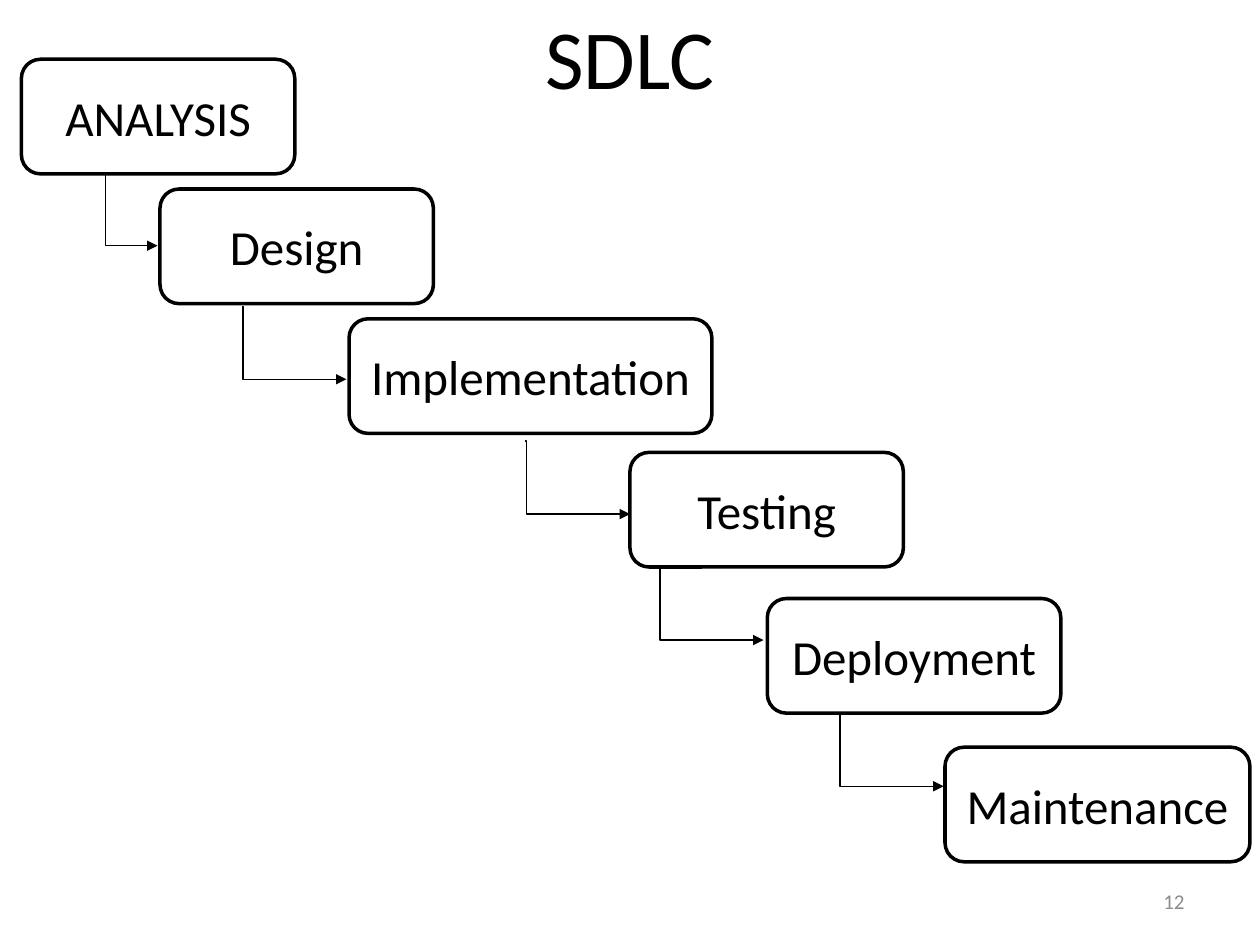
from dataclasses import dataclass

import pptx
import pptx.dml.color
import pptx.enum.shapes
import pptx.enum.text
import pptx.oxml
import pptx.oxml.ns
import pptx.util
from pptx.util import Inches

COLORS = {"ink": "000000", "paper": "FFFFFF", "muted": "8C8C8C"}
FONT = "Calibri"
BOX_H = 0.91
STEP_W, STEP_H = 0.83, 0.58
ALIGN = pptx.enum.text.PP_ALIGN
ANCHOR = pptx.enum.text.MSO_ANCHOR


@dataclass
class Phase:
    name: str
    left: float
    top: float
    width: float = 2.17


@dataclass
class Arrow:
    left: float
    top: float
    bend: float = 0.01  # share of the width at which the line turns down


PHASES = [
    Phase("ANALYSIS", 0.17, 0.47),
    Phase("Design", 1.27, 1.5),
    Phase("Implementation", 2.77, 2.53, 2.88),
    Phase("Testing", 5, 3.59),
    Phase("Deployment", 6.09, 4.75, 2.33),
    Phase("Maintenance", 7.5, 5.93, 2.42),
]
ARROWS = [
    Arrow(0.42, 1.37, 0.5),
    Arrow(1.92, 2.43),
    Arrow(4.17, 3.5),
    Arrow(5.23, 4.5),
    Arrow(6.66, 5.66),
]


def rgb(key: str) -> pptx.dml.color.RGBColor:
    return pptx.dml.color.RGBColor.from_string(COLORS[key])


def write(shape, text: str, size: int, color: str = "ink",
          align=ALIGN.CENTER, anchor=ANCHOR.MIDDLE) -> None:
    frame = shape.text_frame
    frame.text = text
    frame.word_wrap = True
    frame.auto_size = pptx.enum.text.MSO_AUTO_SIZE.NONE
    frame.vertical_anchor = anchor
    para = frame.paragraphs[0]
    para.alignment = align
    para.font.name = FONT
    para.font.size = pptx.util.Pt(size)
    para.font.color.rgb = rgb(color)


def add_phase(slide, phase: Phase) -> None:
    box = slide.shapes.add_shape(
        pptx.enum.shapes.MSO_SHAPE.ROUNDED_RECTANGLE,
        Inches(phase.left), Inches(phase.top),
        Inches(phase.width), Inches(BOX_H))
    box.shadow.inherit = False
    box.fill.solid()
    box.fill.fore_color.rgb = rgb("paper")
    box.line.color.rgb = rgb("ink")
    box.line.width = pptx.util.Pt(2)
    write(box, phase.name, 28)


def add_arrow(slide, arrow: Arrow) -> None:
    link = slide.shapes.add_connector(
        pptx.enum.shapes.MSO_CONNECTOR.ELBOW,
        Inches(arrow.left), Inches(arrow.top),
        Inches(arrow.left + STEP_W), Inches(arrow.top + STEP_H))
    link.line.color.rgb = rgb("ink")
    link.line.width = pptx.util.Pt(0.75)
    make, qn = pptx.oxml.parse_xml, pptx.oxml.ns.qn
    space = pptx.oxml.ns.nsdecls("a")
    props = link._element.spPr
    props.find(qn("a:prstGeom")).find(qn("a:avLst")).append(make(
        f'<a:gd {space} name="adj1" fmla="val {round(arrow.bend * 100000)}"/>'))
    props.find(qn("a:ln")).append(make(f'<a:tailEnd {space} type="triangle"/>'))
    props.append(make(f"<a:effectLst {space}/>"))


def main() -> None:
    deck = pptx.Presentation()
    deck.slide_width, deck.slide_height = Inches(10), Inches(7.5)
    slide = deck.slides.add_slide(deck.slide_layouts[5])

    title = slide.shapes.title
    title.left, title.top = Inches(4.21), Inches(-0.01)
    title.width, title.height = Inches(1.58), Inches(0.91)
    write(title, "SDLC", 48, anchor=ANCHOR.TOP)

    number = slide.shapes.add_textbox(
        Inches(7.17), Inches(6.95), Inches(2.33), Inches(0.4))
    write(number, "12", 12, "muted", ALIGN.RIGHT)

    for phase in PHASES:
        add_phase(slide, phase)
    for arrow in ARROWS:
        add_arrow(slide, arrow)
    deck.save("out.pptx")


if __name__ == "__main__":
    main()
